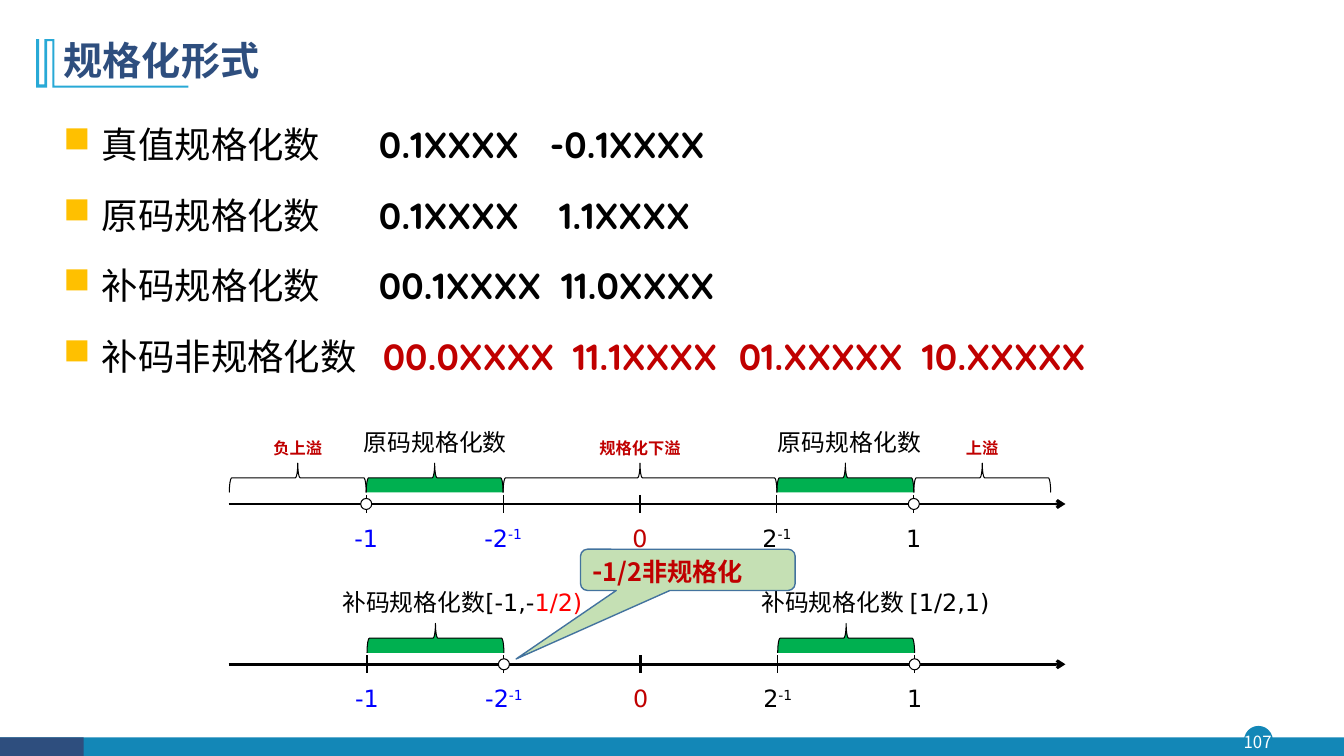
from dataclasses import dataclass

from lxml.etree import SubElement
from pptx import Presentation
from pptx.dml.color import RGBColor
from pptx.enum.shapes import MSO_CONNECTOR as LINE, MSO_SHAPE as SHAPE
from pptx.enum.text import MSO_ANCHOR as ANCHOR, PP_ALIGN as ALIGN
from pptx.oxml.ns import qn
from pptx.util import Cm, Pt


@dataclass(frozen=True)
class Theme:
    navy: str = "2E4E7E"
    teal: str = "1387B7"
    sky: str = "28A9D6"
    black: str = "000000"
    white: str = "FFFFFF"
    red: str = "C00000"
    bright_red: str = "FF0000"
    blue: str = "0000FF"
    green: str = "00B050"
    amber: str = "FFC000"
    callout: str = "C5E0B4"
    callout_edge: str = "43739E"
    cjk: str = "Noto Sans CJK SC"
    code: str = "Quicksand"
    label: str = "DejaVu Sans"
    title_size: int = 28
    body_size: int = 26
    small_size: int = 20
    callout_size: int = 18
    label_size: int = 17
    page_size: int = 12


T = Theme()

# Each row: label, then (tab position in cm, code)
ROWS = [
    ("真值规格化数", T.black, [(7.95, "0.1XXXX"), (12.26, "-0.1XXXX")]),
    ("原码规格化数", T.black, [(7.95, "0.1XXXX"), (12.49, "1.1XXXX")]),
    ("补码规格化数", T.black, [(7.95, "00.1XXXX"), (12.54, "11.0XXXX")]),
    ("补码非规格化数", T.red, [(8.05, "00.0XXXX"), (12.84, "11.1XXXX"),
                         (17.02, "01.XXXXX"), (21.63, "10.XXXXX")]),
]
# Each tick: steps from zero, base, exponent, colour
TICKS = [(-2, "-1", "", T.blue), (-1, "-2", "-1", T.blue), (0, "0", "", T.red),
         (1, "2", "-1", T.black), (2, "1", "", T.black)]
STEP = 3.45


def add_run(p, text, size=T.label_size, font=T.label, color=T.black,
            bold=False, raised=False):
    r = p.add_run()
    r.text = text
    r.font.size, r.font.bold, r.font.name = Pt(size), bold, font
    r.font.color.rgb = RGBColor.from_string(color)
    rPr = r._r.get_or_add_rPr()
    ea = SubElement(rPr, qn("a:ea"))
    ea.set("typeface", T.cjk)
    if raised:
        rPr.set("baseline", "30000")


def add_box(s, x, y, w, h, inset=True, anchor=ANCHOR.TOP, wrap=True):
    tf = s.shapes.add_textbox(Cm(x), Cm(y), Cm(w), Cm(h)).text_frame
    tf.word_wrap, tf.vertical_anchor = wrap, anchor
    if not inset:
        tf.margin_left = tf.margin_right = tf.margin_top = tf.margin_bottom = 0
    return tf


def add_label(s, cx, y, *runs, w=8):
    p = add_box(s, cx - w / 2, y, w, 0.84).paragraphs[0]
    p.alignment, p.line_spacing = ALIGN.CENTER, 0.8
    for text, fmt in runs:
        add_run(p, text, **fmt)


def paint(sp, fill=None, line=None, width=0.75):
    sp.shadow.inherit = False
    if fill:
        sp.fill.solid()
        sp.fill.fore_color.rgb = RGBColor.from_string(fill)
    else:
        sp.fill.background()
    if line:
        sp.line.color.rgb = RGBColor.from_string(line)
        sp.line.width = Pt(width)
    else:
        sp.line.fill.background()
    return sp


def add_preset(s, kind, x, y, w, h, **look):
    return paint(s.shapes.add_shape(kind, Cm(x), Cm(y), Cm(w), Cm(h)), **look)


def add_line(s, x1, y1, x2, y2, width=0.75, arrow=False):
    c = s.shapes.add_connector(LINE.STRAIGHT, Cm(x1), Cm(y1), Cm(x2), Cm(y2))
    c.line.color.rgb = RGBColor.from_string(T.black)
    c.line.width = Pt(width)
    if arrow:
        SubElement(c.line._get_or_add_ln(), qn("a:tailEnd")).set("type", "arrow")
    SubElement(c._element.spPr, qn("a:effectLst"))


def add_brace(s, cx, cy, length, fill=None):
    depth = 0.74
    sp = add_preset(s, SHAPE.RIGHT_BRACE, cx - depth / 2, cy - length / 2,
                    depth, length, fill=fill, line=T.black)
    sp.rotation = 270


def add_axis(s, zero, y, open_ends):
    """Number line with ticks, values, green ranges and open end points."""
    for side in (-1.5, 1.5):
        add_brace(s, zero + side * STEP, y - 0.66, STEP, fill=T.green)
    add_line(s, 5.76, y, 26.85, y, width=2, arrow=True)
    for n, base, power, color in TICKS:
        x = zero + n * STEP
        add_line(s, x, y - 0.23, x, y + 0.23, width=0.75 if n else 2)
        runs = [(base, dict(color=color))]
        if power:
            runs.append((power, dict(color=color, raised=True)))
        add_label(s, x, y + 0.5, *runs, w=2.5)
        if n in open_ends:
            add_preset(s, SHAPE.OVAL, x - 0.14, y - 0.14, 0.28, 0.28,
                       fill=T.white, line=T.black)


def add_frame(s):
    """Footer bar, page number and title ornament."""
    add_preset(s, SHAPE.OVAL, 31.37, 18.31, 0.69, 0.69, fill=T.teal, line=T.teal, width=1)
    add_preset(s, SHAPE.RECTANGLE, 0, 18.58, 33.87, 0.47, fill=T.teal)
    add_preset(s, SHAPE.RECTANGLE, 0, 18.58, 2.11, 0.47, fill=T.navy)
    p = add_box(s, 31.29, 18.31, 0.81, 0.79, inset=False,
                anchor=ANCHOR.MIDDLE, wrap=False).paragraphs[0]
    p.alignment = ALIGN.CENTER
    add_run(p, "107", size=T.page_size, font=T.cjk, color=T.white)
    outline = [(1.37, 0.99), (1.37, 2.16), (4.75, 2.16), (4.75, 2.21), (1.32, 2.21),
               (1.32, 1.04), (1.19, 1.04), (1.19, 2.21), (0.91, 2.21), (0.91, 0.99),
               (0.99, 0.99), (0.99, 2.13), (1.12, 2.13), (1.12, 0.99)]
    points = [(Cm(x), Cm(y)) for x, y in outline]
    fb = s.shapes.build_freeform(*points[0])
    fb.add_line_segments(points[1:], close=True)
    paint(fb.convert_to_shape(), fill=T.sky)


def set_title(s, text):
    sp = s.shapes.title
    sp.left, sp.top, sp.width, sp.height = Cm(1.35), Cm(0.71), Cm(29.21), Cm(1.73)
    sp.text_frame.vertical_anchor = ANCHOR.MIDDLE
    p = sp.text_frame.paragraphs[0]
    p.alignment, p.line_spacing = ALIGN.LEFT, 0.9
    add_run(p, text, size=T.title_size, font=T.cjk, color=T.navy, bold=True)


def add_bullets(s):
    tf = add_box(s, 1.35, 2.62, 31.19, 7.09)
    for i, (label, color, codes) in enumerate(ROWS):
        p = tf.paragraphs[0] if i == 0 else tf.add_paragraph()
        p.line_spacing = 1.3
        if i:
            p.space_before = Pt(10)
        pPr = p._p.get_or_add_pPr()
        pPr.set("marL", str(Cm(0.97)))
        pPr.set("indent", str(-Cm(0.97)))
        SubElement(SubElement(pPr, qn("a:buClr")), qn("a:srgbClr")).set("val", T.amber)
        SubElement(pPr, qn("a:buChar")).set("char", "■")
        tabs = SubElement(pPr, qn("a:tabLst"))
        add_run(p, label, size=T.body_size, font=T.code)
        for pos, code in codes:
            tab = SubElement(tabs, qn("a:tab"))
            tab.set("pos", str(Cm(pos)))
            tab.set("algn", "l")
            add_run(p, "\t" + code, size=T.body_size, font=T.code, color=color, bold=True)


def add_callout(s):
    sp = add_preset(s, SHAPE.ROUNDED_RECTANGULAR_CALLOUT, 14.63, 13.84, 5.41, 1.04,
                    fill=T.callout, line=T.callout_edge, width=1)
    for i, value in enumerate((-0.8, 2.16, 0.17)):
        sp.adjustments[i] = value
    sp.text_frame.vertical_anchor = ANCHOR.MIDDLE
    p = sp.text_frame.paragraphs[0]
    p.alignment = ALIGN.LEFT
    fmt = dict(font=T.cjk, color=T.red, bold=True)
    add_run(p, "-", size=T.small_size, **fmt)
    add_run(p, "1/2非规格化", size=T.callout_size, **fmt)


def main():
    prs = Presentation()
    prs.slide_width, prs.slide_height = Cm(33.87), Cm(19.05)
    s = prs.slides.add_slide(prs.slide_layouts[5])
    add_frame(s)
    set_title(s, "规格化形式")
    add_bullets(s)

    # Sign-magnitude number line with overflow ranges
    zero, y = 16.13, 12.7
    add_axis(s, zero, y, open_ends=(-2, 2))
    for cx in (10.97, 21.41):
        add_label(s, cx, y - 1.92, ("原码规格化数", {}))
    small = dict(size=T.small_size, font=T.cjk, color=T.red, bold=True, raised=True)
    for n, length, text in ((-2.5, 1, "负上溢"), (0, 2, "规格化下溢"), (2.5, 1, "上溢")):
        add_brace(s, zero + n * STEP, y - 0.66, length * STEP)
        add_label(s, zero + n * STEP, y - 1.7, (text, small), w=3)

    # Two's complement number line
    zero, y = 16.15, 16.74
    add_axis(s, zero, y, open_ends=(-1, 2))
    add_label(s, 11.65, y - 1.91, ("补码规格化数[-1,-", {}),
              ("1/2)", dict(color=T.bright_red)))
    add_label(s, 22.06, y - 1.91, ("补码规格化数 [1/2,1)", {}))
    add_callout(s)
    prs.save("out.pptx")


if __name__ == "__main__":
    main()
